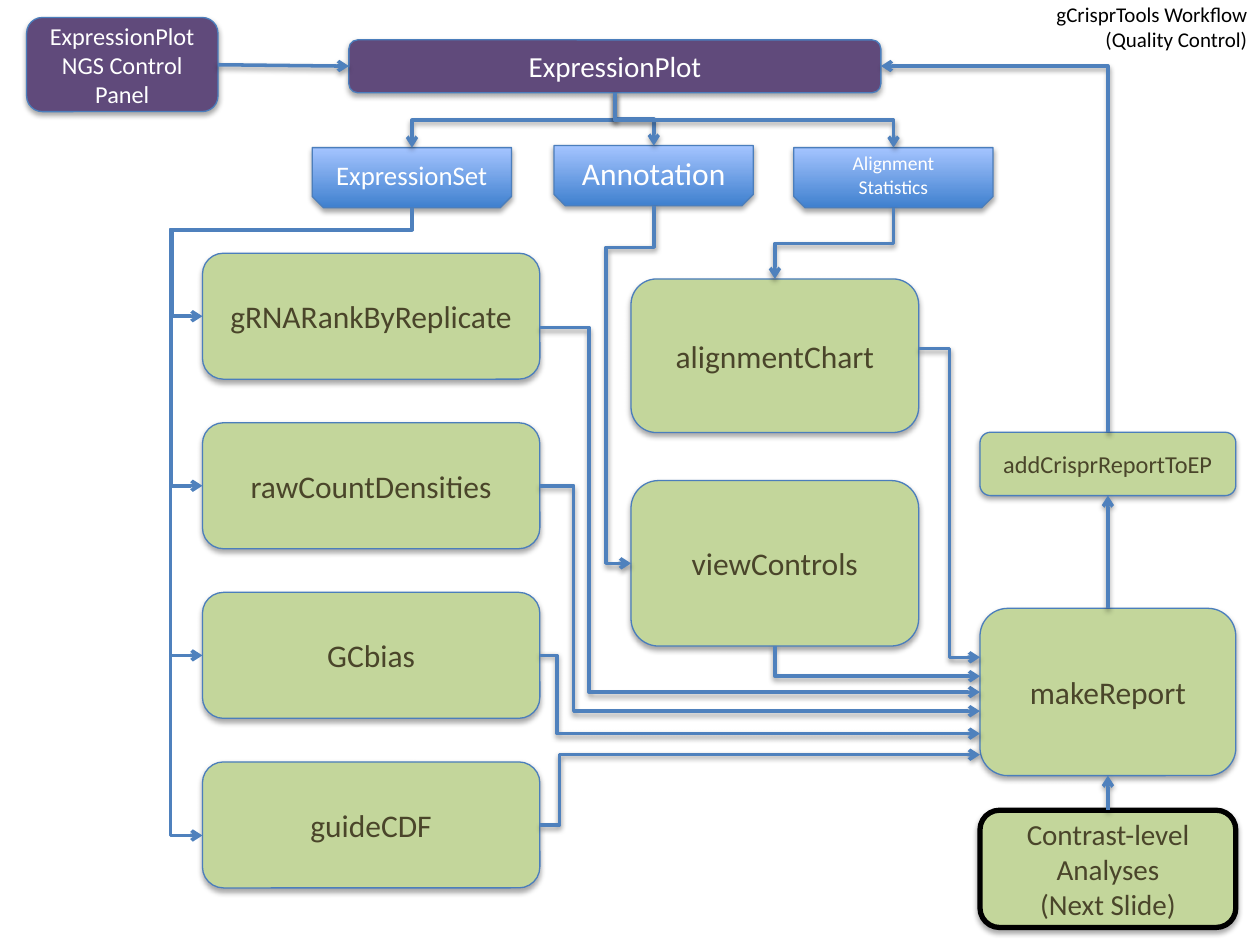
import pptx
import pptx.util
import pptx.dml.color
import pptx.enum.shapes
import pptx.enum.text
import pptx.oxml
import pptx.oxml.ns

Pt = pptx.util.Pt
RGBColor = pptx.dml.color.RGBColor
PRESET = pptx.enum.shapes.MSO_SHAPE
ALIGN = pptx.enum.text.PP_ALIGN
ANCHOR = pptx.enum.text.MSO_ANCHOR

BLACK = RGBColor(0x00, 0x00, 0x00)
WHITE = RGBColor(0xFF, 0xFF, 0xFF)
GREEN = RGBColor(0xC3, 0xD6, 0x9B)
OLIVE = RGBColor(0x4A, 0x45, 0x2A)
PURPLE = RGBColor(0x60, 0x4A, 0x7B)
OUTLINE = RGBColor(0x4B, 0x7E, 0xBC)
ARROW = RGBColor(0x4F, 0x81, 0xBD)
DEEP_BLUE = RGBColor(0x3F, 0x80, 0xCE)
PALE_BLUE = RGBColor(0xA4, 0xC4, 0xFF)

BUS_X, BUS_Y = 97.4, 131.2


def write_text(frame, text, size=18, color=OLIVE, align=ALIGN.CENTER,
               anchor=ANCHOR.MIDDLE):
    """Fill a text frame, one paragraph for each line of text."""
    frame.word_wrap = True
    frame.auto_size = pptx.enum.text.MSO_AUTO_SIZE.NONE
    frame.vertical_anchor = anchor
    frame.text = text
    for paragraph in frame.paragraphs:
        paragraph.alignment = align
        paragraph.font.name = "Calibri"
        paragraph.font.size = Pt(size)
        paragraph.font.color.rgb = color


def set_shadow(properties, distance, alpha):
    """Give shape properties a soft shadow below, or none if alpha is 0."""
    for old in properties.findall(pptx.oxml.ns.qn("a:effectLst")):
        properties.remove(old)
    shadow = (
        f'<a:outerShdw blurRad="{Pt(3.1)}" dist="{Pt(distance)}" dir="5400000" '
        f'rotWithShape="0"><a:srgbClr val="{BLACK}"><a:alpha val="{alpha * 1000}"/>'
        '</a:srgbClr></a:outerShdw>') if alpha else ""
    properties.append(pptx.oxml.parse_xml(
        f'<a:effectLst {pptx.oxml.ns.nsdecls("a")}>{shadow}</a:effectLst>'))


def add_box(slide, box, text, preset=PRESET.ROUNDED_RECTANGLE, fill=GREEN,
            line=OUTLINE, weight=0.75, **text_format):
    """Add a shadowed shape with centred text."""
    shape = slide.shapes.add_shape(preset, *map(Pt, box))
    shape.fill.solid()
    shape.fill.fore_color.rgb = fill
    shape.line.color.rgb = line
    shape.line.width = Pt(weight)
    set_shadow(shape._element.spPr, 1.8, 35)
    write_text(shape.text_frame, text, **text_format)
    return shape


def add_data_tab(slide, left, top, text, size):
    """Add a blue gradient tab with snipped lower corners."""
    tab = add_box(slide, (left, top, 113.9, 34.4), text,
                  preset=PRESET.SNIP_2_SAME_RECTANGLE, size=size, color=WHITE)
    tab.adjustments[0] = 0
    tab.adjustments[1] = 0.19
    tab.fill.gradient()
    tab.fill.gradient_angle = 90
    for stop, color in zip(tab.fill.gradient_stops, (DEEP_BLUE, PALE_BLUE)):
        stop.color.rgb = color


def style_arrow(connector, shadow):
    """Set colour, weight, arrowhead and shadow of a connector."""
    connector.line.color.rgb = ARROW
    connector.line.width = Pt(2)
    connector.line._get_or_add_ln().append(pptx.oxml.parse_xml(
        f'<a:tailEnd {pptx.oxml.ns.nsdecls("a")} type="arrow"/>'))
    set_shadow(connector._element.spPr, 1.6, 38 if shadow else 0)


def add_straight(slide, start, end):
    """Add a straight arrow."""
    style_arrow(slide.shapes.add_connector(
        pptx.enum.shapes.MSO_CONNECTOR.STRAIGHT, *map(Pt, start + end)), True)


def add_elbow(slide, start, end, turns=(), upright=False, shadow=True):
    """Add a bent arrow; turns are the coordinates of its inner segments.

    An upright arrow leaves its start vertically: it is laid out sideways
    and then rotated by a quarter turn.
    """
    (x1, y1), (x2, y2) = start, end
    run, rise = x2 - x1, y2 - y1
    origin, spans, rotation = (x1, y1), (run, rise), 0
    if upright:
        origin, spans = (y1, x1), (rise, run)
        rotation = 90 if rise > 0 else 270
        run, rise = abs(rise), -run if rise > 0 else run
    center_x, center_y = (x1 + x2) / 2, (y1 + y2) / 2
    connector = slide.shapes.add_connector(
        pptx.enum.shapes.MSO_CONNECTOR.ELBOW,
        Pt(center_x - run / 2), Pt(center_y - rise / 2),
        Pt(center_x + run / 2), Pt(center_y + rise / 2))
    properties = connector._element.spPr
    if rotation:
        properties.xfrm.set("rot", str(rotation * 60000))
    geometry = properties.find(pptx.oxml.ns.qn("a:prstGeom"))
    geometry.set("prst", f"bentConnector{len(turns) + 2}")
    guides = geometry.find(pptx.oxml.ns.qn("a:avLst"))
    for number, (turn, base, span) in enumerate(zip(turns, origin, spans), 1):
        ratio = round((turn - base) / span * 100000)
        guides.append(pptx.oxml.parse_xml(
            f'<a:gd {pptx.oxml.ns.nsdecls("a")} name="adj{number}" '
            f'fmla="val {ratio}"/>'))
    style_arrow(connector, shadow)


def add_boxes(slide):
    """Add the purple sources, the blue data tabs and the green steps."""
    for box, text, size in (
            ((199.4, 22.8, 304, 30.2), "ExpressionPlot", 16.6),
            ((15.2, 10, 109.4, 53.8), "ExpressionPlot NGS Control Panel", 13.9)):
        add_box(slide, box, text, fill=PURPLE, size=size, color=WHITE)

    add_data_tab(slide, 178.4, 84.4, "ExpressionSet", 15.3)
    add_data_tab(slide, 316.6, 83.2, "Annotation", 18)
    add_data_tab(slide, 453.6, 84.4, "Alignment\nStatistics", 11.2)

    plots = ("gRNARankByReplicate", "rawCountDensities", "GCbias", "guideCDF")
    for row, plot in enumerate(plots):
        add_box(slide, (115.7, 144.7 + 96.9 * row, 192.8, 72), plot)
    add_box(slide, (360.6, 159.4, 164.4, 87.8), "alignmentChart")
    add_box(slide, (360.6, 274.6, 164.4, 94.6), "viewControls")
    add_box(slide, (560, 247, 146.2, 36.2), "addCrisprReportToEP", size=13.9)
    add_box(slide, (560, 347.6, 146.2, 95.6), "makeReport")
    add_box(slide, (560, 463, 146.2, 67),
            "Contrast-level Analyses\n(Next Slide)",
            line=BLACK, weight=3, size=16.6)


def add_arrows(slide):
    """Connect the boxes of the workflow."""
    add_straight(slide, (124.6, 37), (199.4, 37.8))
    for x, y in ((235.4, 84.4), (373.6, 83.2), (510.6, 84.4)):
        add_elbow(slide, (351.4, 53), (x, y), ((53 + y) / 2,), upright=True)

    for y, bus_x in ((180.7, 98.6), (277.6, 97.9), (374.5, BUS_X), (477.4, BUS_X)):
        add_elbow(slide, (235.4, 118.8), (115.7, y), (BUS_Y, bus_x),
                  upright=True, shadow=False)
    add_elbow(slide, (373.6, 117.6), (360.6, 321.9), (141.3, 346.4), upright=True)
    add_elbow(slide, (510.6, 118.8), (442.8, 159.4), (139.1,), upright=True)

    for start, y, turn_x in (
            ((525, 199.2), 375.6, 542.5), ((308.5, 187.2), 395.5, 336.6),
            ((308.5, 277.6), 406.4, 327.8), ((308.5, 374.5), 419.2, 318.3),
            ((308.5, 471.4), 431.3, 319.8)):
        add_elbow(slide, start, (560, y), (turn_x,))
    add_elbow(slide, (442.8, 369.2), (560, 386.4), upright=True)

    add_straight(slide, (633.1, 463), (633.1, 443.2))
    add_straight(slide, (633.1, 347.6), (633.1, 283.2))
    add_elbow(slide, (633.1, 247), (503.4, 37.8), upright=True)


def main():
    """Build the workflow slide."""
    deck = pptx.Presentation()
    deck.slide_width, deck.slide_height = Pt(720), Pt(540)
    slide = deck.slides.add_slide(deck.slide_layouts[5])
    heading = slide.shapes.title
    heading.left, heading.top, heading.width, heading.height = map(
        Pt, (576.7, -2.9, 143.3, 36))
    write_text(heading.text_frame, "gCrisprTools Workflow (Quality Control)",
               size=12, color=BLACK, align=ALIGN.RIGHT, anchor=ANCHOR.TOP)
    add_boxes(slide)
    add_arrows(slide)
    deck.save("out.pptx")


main()
